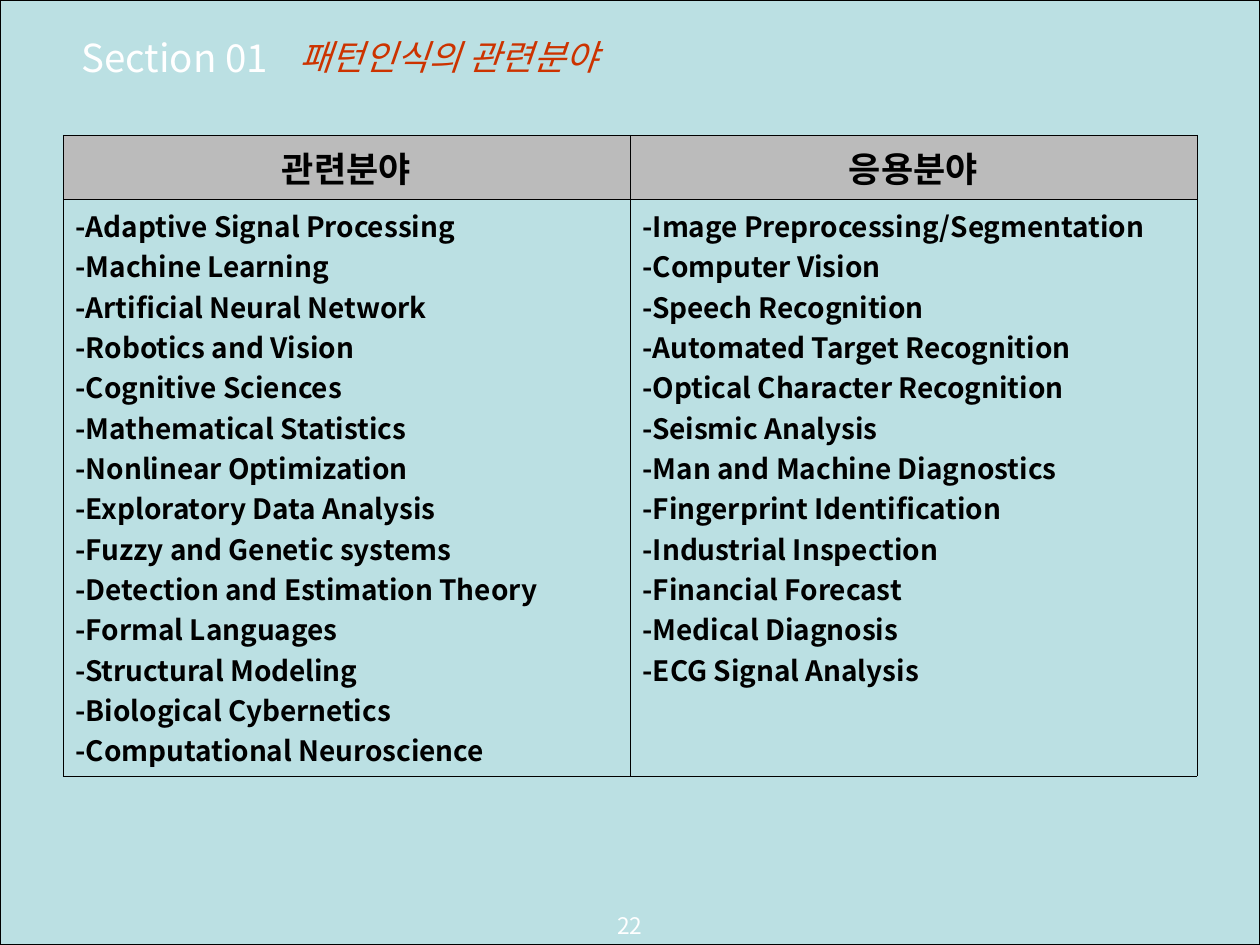
from lxml.etree import SubElement
from pptx import Presentation
from pptx.dml.color import RGBColor
from pptx.enum.shapes import MSO_SHAPE
from pptx.enum.text import MSO_ANCHOR, PP_ALIGN
from pptx.oxml import parse_xml
from pptx.oxml.ns import nsdecls, qn
from pptx.util import Pt

PX = 914400 // 126
FONT = "Noto Sans CJK KR"
COLORS = {
    "background": "BBE0E3",
    "header": "BBBBBB",
    "ink": "000000",
    "light": "FFFFFF",
    "title": "CC3300",
}
FIELDS = {
    "관련분야": [
        "Adaptive Signal Processing", "Machine Learning",
        "Artificial Neural Network", "Robotics and Vision",
        "Cognitive Sciences", "Mathematical Statistics",
        "Nonlinear Optimization", "Exploratory Data Analysis",
        "Fuzzy and Genetic systems", "Detection and Estimation Theory",
        "Formal Languages", "Structural Modeling",
        "Biological Cybernetics", "Computational Neuroscience",
    ],
    "응용분야": [
        "Image Preprocessing/Segmentation", "Computer Vision",
        "Speech Recognition", "Automated Target Recognition",
        "Optical Character Recognition", "Seismic Analysis",
        "Man and Machine Diagnostics", "Fingerprint Identification",
        "Industrial Inspection", "Financial Forecast",
        "Medical Diagnosis", "ECG Signal Analysis",
    ],
}


def color(name):
    return RGBColor.from_string(COLORS[name])


class PageBuilder:
    """Holds the shared style and the current slide."""

    def __init__(self, page):
        self.page = page

    def background(self, *box):
        panel = self.page.shapes.add_shape(
            MSO_SHAPE.RECTANGLE, *(n * PX for n in box))
        panel.shadow.inherit = False
        panel.fill.solid()
        panel.fill.fore_color.rgb = color("background")
        panel.line.color.rgb = color("ink")
        panel.line.width = Pt(0.75)

    def fill_text(self, frame, lines, size, ink="ink", align=PP_ALIGN.LEFT,
                  bold=False, italic=False, shadow=False):
        frame.text = "\n".join(lines)
        for para in frame.paragraphs:
            para.alignment = align
            font = para.font
            font.name, font.size = FONT, Pt(size)
            font.bold, font.italic = bold, italic
            font.color.rgb = color(ink)
            latin = font._rPr.find(qn("a:latin"))
            latin.addnext(parse_xml(
                f'<a:ea {nsdecls("a")} typeface="{FONT}"/>'))
            if shadow:
                latin.addprevious(parse_xml(
                    f'<a:effectLst {nsdecls("a")}><a:outerShdw dist="17961" '
                    f'dir="2700000"><a:srgbClr val="{COLORS["ink"]}"/>'
                    '</a:outerShdw></a:effectLst>'))

    def label(self, text, box, size, anchor, **style):
        shape = self.page.shapes.add_textbox(*(n * PX for n in box))
        shape.text_frame.word_wrap = True
        shape.text_frame.vertical_anchor = anchor
        self.fill_text(shape.text_frame, [text], size, "light", shadow=True,
                       **style)

    def title(self, text, box):
        shape = self.page.shapes.title
        shape.left, shape.top, shape.width, shape.height = (
            n * PX for n in box)
        shape.text_frame.vertical_anchor = MSO_ANCHOR.MIDDLE
        self.fill_text(shape.text_frame, [text], 20, "title", italic=True,
                       shadow=True)

    def border(self, cell):
        properties = cell._tc.get_or_add_tcPr()
        for position, side in enumerate(("lnL", "lnR", "lnT", "lnB")):
            line = SubElement(properties, qn(f"a:{side}"), w="762")
            fill = SubElement(line, qn("a:solidFill"))
            SubElement(fill, qn("a:srgbClr"), val=COLORS["ink"])
            properties.insert(position, line)

    def table(self, columns, box, header_height):
        table = self.page.shapes.add_table(
            2, len(columns), *(n * PX for n in box)).table
        table.rows[0].height = header_height * PX
        table.rows[1].height = (box[3] - header_height) * PX
        for index, (heading, items) in enumerate(columns.items()):
            header, body = table.cell(0, index), table.cell(1, index)
            header.fill.solid()
            header.fill.fore_color.rgb = color("header")
            header.vertical_anchor = MSO_ANCHOR.MIDDLE
            self.fill_text(header.text_frame, [heading], 20,
                           align=PP_ALIGN.CENTER, bold=True)
            body.fill.background()
            self.fill_text(body.text_frame, [f"-{item}" for item in items],
                           16, align=PP_ALIGN.JUSTIFY, bold=True)
            for cell in (header, body):
                self.border(cell)


def main():
    deck = Presentation()
    deck.slide_width, deck.slide_height = 1260 * PX, 945 * PX
    builder = PageBuilder(deck.slides.add_slide(deck.slide_layouts[5]))
    builder.background(0, 0, 1260, 945)
    # The title placeholder exists before the panel, so lift it above.
    title = builder.page.shapes.title._element
    title.getparent().append(title)
    builder.label("22", (0, 917, 1260, 28), 13, MSO_ANCHOR.BOTTOM,
                  align=PP_ALIGN.CENTER)
    builder.label("Section 01", (69, 34, 243, 47), 22, MSO_ANCHOR.MIDDLE)
    builder.title("패턴인식의 관련분야", (287, 14, 818, 86))
    builder.table(FIELDS, (63, 135, 1134, 641), 64)
    deck.save("out.pptx")


if __name__ == "__main__":
    main()
